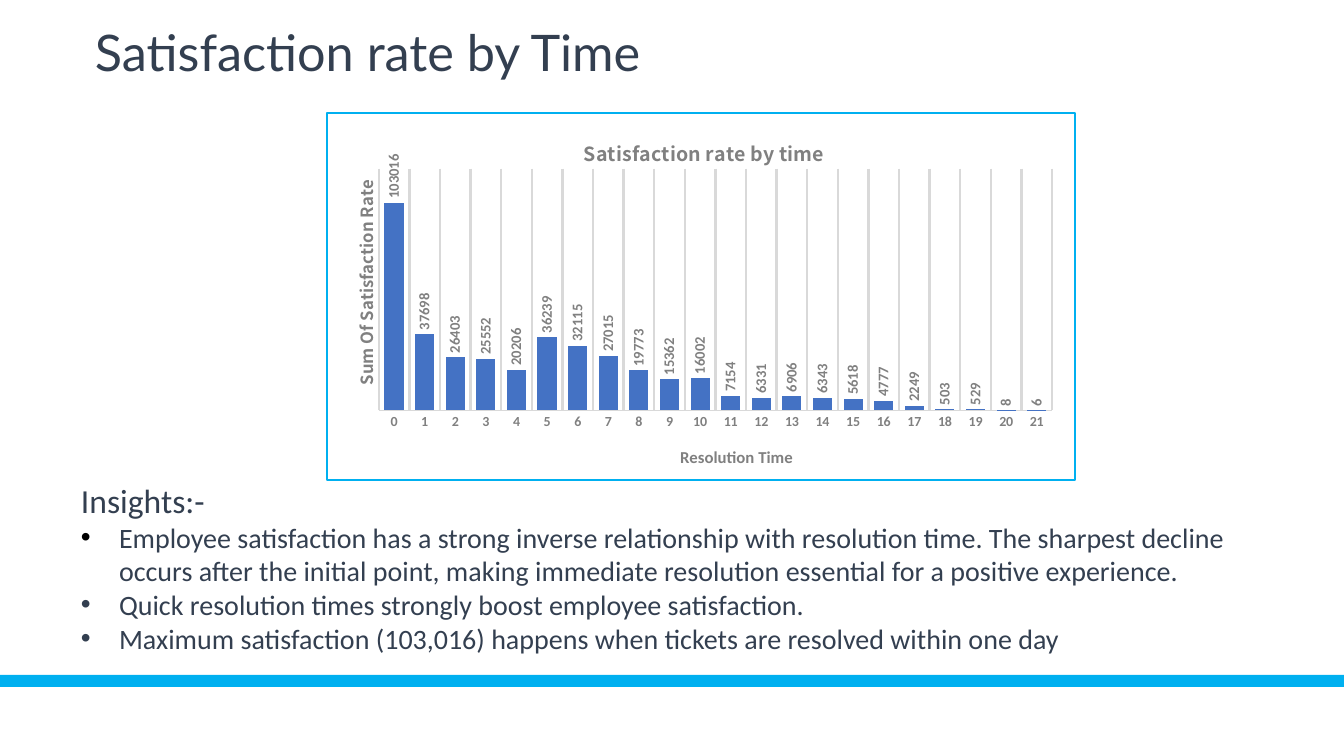
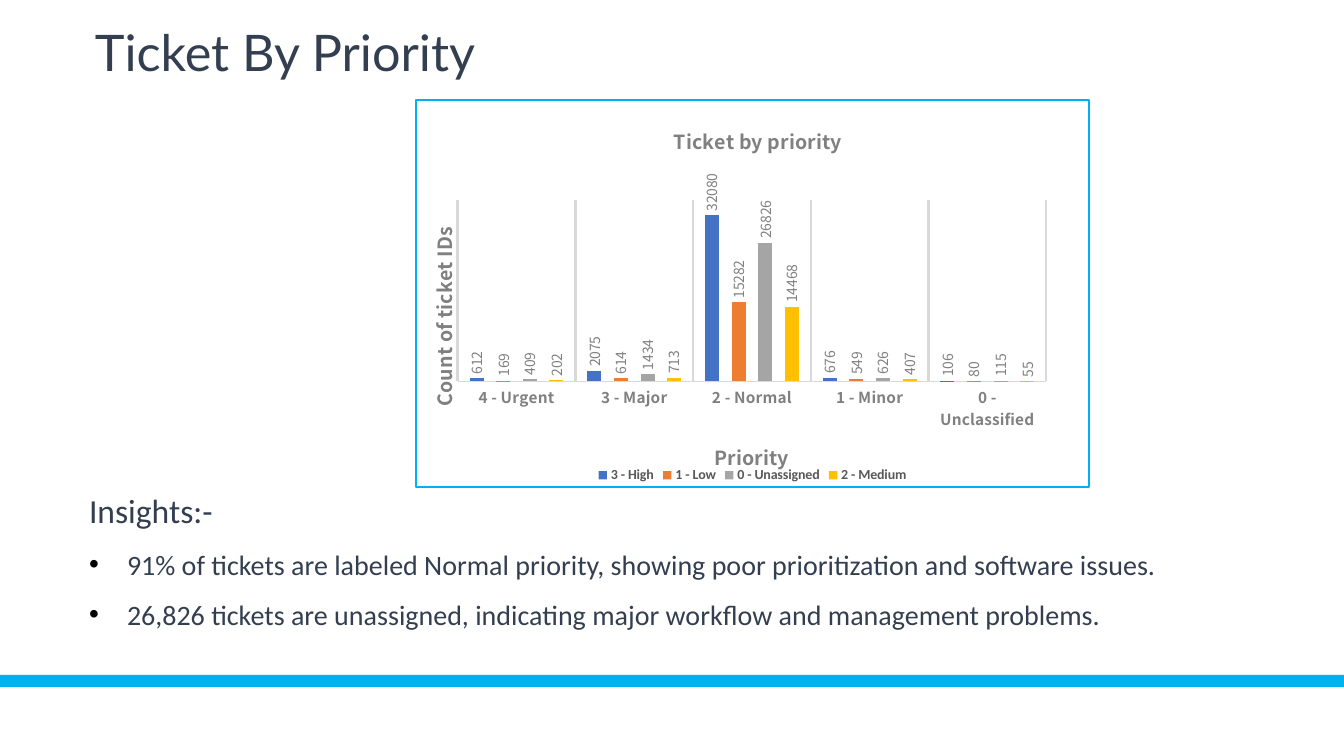
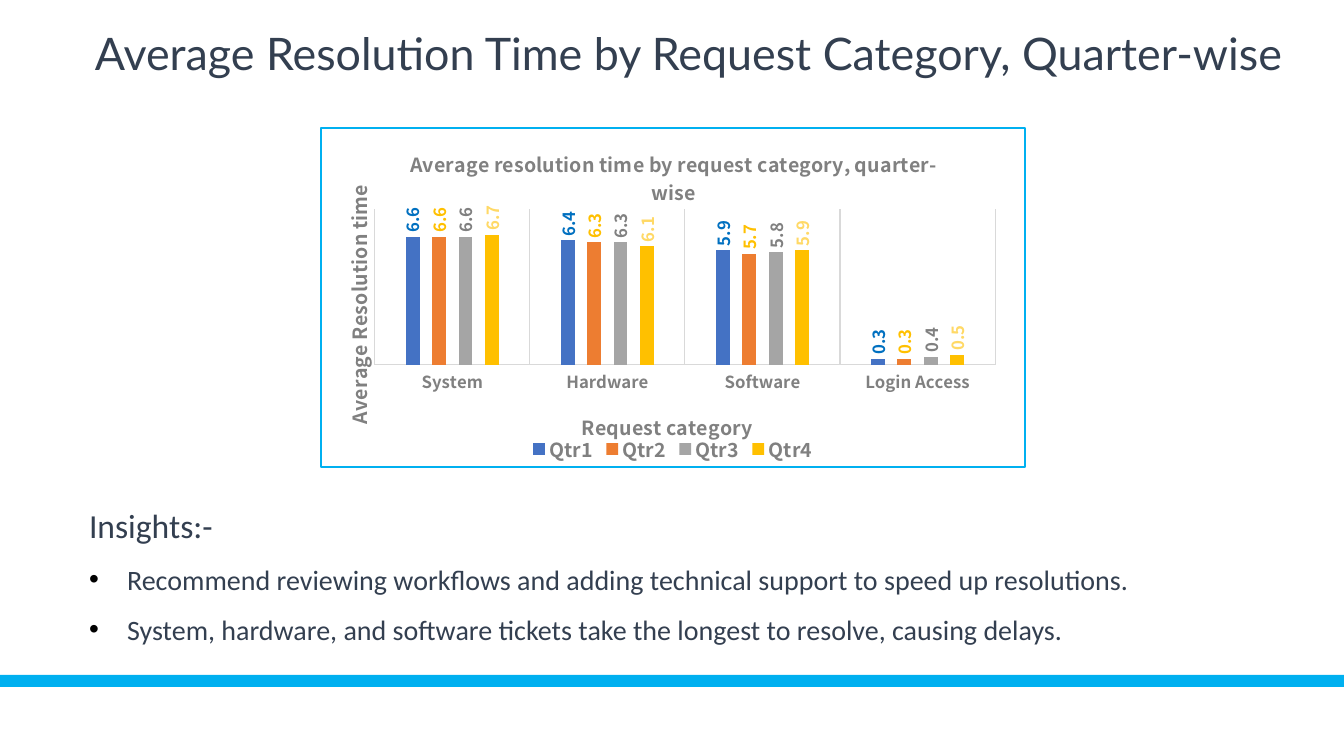
from lxml.etree import SubElement
from pptx import Presentation
from pptx.chart.data import CategoryChartData
from pptx.dml.color import RGBColor
from pptx.enum.chart import XL_CHART_TYPE, XL_LABEL_POSITION, XL_LEGEND_POSITION, XL_TICK_MARK
from pptx.enum.shapes import MSO_SHAPE
from pptx.enum.text import MSO_ANCHOR, MSO_AUTO_SIZE, PP_ALIGN
from pptx.oxml.ns import qn
from pptx.util import Pt

WIDE, HIGH = 1344, 756
INK, SKY, GREY, PALE, BLACK = "333F50", "00B0F0", "808080", "D9D9D9", "000000"
HUES = ["4472C4", "ED7D31", "A5A5A5", "FFC000"]
NOTO, SANS = "Noto Sans CJK SC", "Calibri"
BAND = (0, 675, WIDE, 12)
HEAD = "Insights:-"

SLIDES = [
    {
        "title": "Satisfaction rate by Time", "size": 36, "top": (88, 25, 629, 87),
        "body": (81, 480, 1160, 176), "lead": 1.0,
        "notes": [
            ("Employee satisfaction has a strong inverse relationship with resolution time. "
             "The sharpest decline occurs after the initial point, making immediate resolution "
             "essential for a positive experience.", BLACK),
            ("Quick resolution times strongly boost employee satisfaction.", INK),
            ("Maximum satisfaction (103,016) happens when tickets are resolved within one day", INK),
        ],
        "chart": {
            "box": (326, 112, 750, 369), "plot": (378, 168, 675, 243),
            "name": ("Satisfaction rate by time", 14, NOTO, (580, 132)),
            "across": ("Resolution Time", 12, SANS, (677, 444)),
            "up": ("Sum Of Satisfaction Rate", 12, NOTO, (348, 177)),
            "cats": [str(n) for n in range(22)],
            "rows": [("Series 1", [103016, 37698, 26403, 25552, 20206, 36239, 32115, 27015,
                                   19773, 15362, 16002, 7154, 6331, 6906, 6343, 5618, 4777,
                                   2249, 503, 529, 8, 6])],
            "max": 120000, "gap": 60, "grid": 1.75, "form": "0",
            "tick": (10, SANS), "label": (10.5, SANS, True), "tints": [GREY], "key": None,
        },
    },
    {
        "title": "Ticket By Priority", "size": 36, "top": (88, 25, 629, 87),
        "body": (89, 490, 1223, 176), "lead": 1.5,
        "notes": [
            ("91% of tickets are labeled Normal priority, showing poor prioritization "
             "and software issues.", BLACK),
            ("26,826 tickets are unassigned, indicating major workflow and management "
             "problems.", BLACK),
        ],
        "chart": {
            "box": (415, 99, 675, 389), "plot": (457, 200, 590, 182),
            "name": ("Ticket by priority", 14, NOTO, (670, 120)),
            "across": ("Priority", 14, NOTO, (711, 437)),
            "up": ("Count of ticket IDs", 14, NOTO, (423, 223)),
            "cats": ["4 - Urgent", "3 - Major", "2 - Normal", "1 - Minor", "0 - Unclassified"],
            "rows": [
                ("3 - High", [612, 2075, 32080, 676, 106]),
                ("1 - Low", [169, 614, 15282, 549, 80]),
                ("0 - Unassigned", [409, 1434, 26826, 626, 115]),
                ("2 - Medium", [202, 713, 14468, 407, 55]),
            ],
            "max": 35000, "gap": 170, "grid": 1.75, "form": "0",
            "tick": (11, NOTO), "label": (10, NOTO, False), "tints": [GREY] * 4,
            "key": (10, SANS, "595959"),
        },
    },
    {
        "title": "Average Resolution Time by Request Category, Quarter-wise",
        "size": 32, "top": (88, 29, 1230, 82),
        "body": (89, 505, 1211, 176), "lead": 1.5,
        "notes": [
            ("Recommend reviewing workflows and adding technical support to speed up "
             "resolutions.", BLACK),
            ("System, hardware, and software tickets take the longest to resolve, "
             "causing delays.", BLACK),
        ],
        "chart": {
            "box": (320, 127, 706, 341), "plot": (374, 209, 622, 156),
            "name": ("Average resolution time by request category, quarter-wise", 14, NOTO,
                     (406, 143)),
            "across": ("Request category", 14, NOTO, (578, 407)),
            "up": ("Average Resolution time", 14, NOTO, (338, 181)),
            "cats": ["System", "Hardware", "Software", "Login Access"],
            "rows": [
                ("Qtr1", [6.6, 6.4, 5.9, 0.3]),
                ("Qtr2", [6.6, 6.3, 5.7, 0.3]),
                ("Qtr3", [6.6, 6.3, 5.8, 0.4]),
                ("Qtr4", [6.7, 6.1, 5.9, 0.5]),
            ],
            "max": 8, "gap": 444, "grid": 0.75, "form": "0.0",
            "tick": (12, NOTO), "label": (12, NOTO, True),
            "tints": ["0070C0", "FFC000", GREY, "FFD966"], "key": (14, NOTO, GREY),
        },
    },
]


def px(n):
    return round(n * 914400 / 100.8)


def hue(code):
    return RGBColor.from_string(code)


def style(font, size, face, code, bold=False):
    font.size, font.name, font.bold = Pt(size), face, bold
    font.color.rgb = hue(code)


def move(shape, box):
    shape.left, shape.top, shape.width, shape.height = map(px, box)


def frame(shape, side, edge):
    text = shape.text_frame
    text.word_wrap, text.auto_size = True, MSO_AUTO_SIZE.NONE
    text.vertical_anchor = MSO_ANCHOR.TOP
    text.margin_left = text.margin_right = px(side)
    text.margin_top = text.margin_bottom = px(edge)
    return text


def head(slide, data):
    shape = slide.shapes.title
    move(shape, data["top"])
    text = frame(shape, 7, 3)
    text.text = data["title"]
    para = text.paragraphs[0]
    para.alignment, para.line_spacing = PP_ALIGN.LEFT, 0.9
    style(para.font, data["size"], "Lato", INK)


def bullet(para, code):
    props = para._p.get_or_add_pPr()
    dent = px(38) if code else 0
    props.set("marL", str(dent))
    props.set("indent", str(-dent))
    if not code:
        SubElement(props, qn("a:buNone"))
        return
    tone = SubElement(props, qn("a:buClr"))
    SubElement(tone, qn("a:srgbClr"), val=code)
    SubElement(props, qn("a:buFont"), typeface="Arial")
    SubElement(props, qn("a:buChar"), char="•")


def body(slide, data):
    shape = slide.placeholders[1]
    move(shape, data["body"])
    text = frame(shape, 0, 0)
    lines = [(HEAD, None)] + data["notes"]
    text.text = "\n".join(line for line, _ in lines)
    for para, (_, code) in zip(text.paragraphs, lines):
        para.space_before = Pt(0)
        para.line_spacing = data["lead"] if code else 1.0
        bullet(para, code)
        style(para.font, 20 if code else 24, SANS, INK)


def place(node, box, spot):
    for old in node.findall(qn("c:layout")):
        node.remove(old)
    lay = SubElement(node, qn("c:layout"))
    node.insert(1 if len(spot) == 2 else 0, lay)
    form = SubElement(lay, qn("c:manualLayout"))
    if len(spot) == 4:
        SubElement(form, qn("c:layoutTarget"), val="inner")
    for mode in ("xMode", "yMode"):
        SubElement(form, qn("c:" + mode), val="edge")
    x, y, *size = spot
    parts = [(x - box[0]) / box[2], (y - box[1]) / box[3]]
    parts += [n / full for n, full in zip(size, box[2:])]
    for key, part in zip("xywh", parts):
        SubElement(form, qn("c:" + key), val=f"{part:.4f}")


def turn(node):
    props = node.find(".//" + qn("a:bodyPr"))
    props.set("rot", "-5400000")
    props.set("vert", "horz")


def label(title, data, box):
    words, size, face, spot = data
    text = title.text_frame
    text.text = words
    style(text.paragraphs[0].font, size, face, GREY, True)
    place(title._element, box, spot)


def edge(chart):
    node = chart._chartSpace.find(qn("c:chart"))
    props = SubElement(chart._chartSpace, qn("c:spPr"))
    node.addnext(props)
    SubElement(props, qn("a:noFill"))
    line = SubElement(props, qn("a:ln"), w=str(Pt(1.25)))
    fill = SubElement(line, qn("a:solidFill"))
    SubElement(fill, qn("a:srgbClr"), val=SKY)


def graph(slide, data):
    box = data["box"]
    feed = CategoryChartData(number_format=data["form"])
    feed.categories = data["cats"]
    for name, vals in data["rows"]:
        feed.add_series(name, vals)
    chart = slide.shapes.add_chart(
        XL_CHART_TYPE.COLUMN_CLUSTERED, *map(px, box), feed).chart
    style(chart.font, 10, SANS, BLACK)
    edge(chart)
    chart.has_title = True
    label(chart.chart_title, data["name"], box)

    base, rise = chart.category_axis, chart.value_axis
    label(base.axis_title, data["across"], box)
    label(rise.axis_title, data["up"], box)
    turn(rise.axis_title._element)
    style(base.tick_labels.font, *data["tick"], GREY, True)
    base.major_tick_mark = XL_TICK_MARK.NONE
    base.has_major_gridlines = True
    for line, width in ((base.format.line, 0.75),
                        (base.major_gridlines.format.line, data["grid"])):
        line.color.rgb, line.width = hue(PALE), Pt(width)
    rise.has_major_gridlines = False
    rise.minimum_scale, rise.maximum_scale = 0, data["max"]
    rise.visible = False

    plot = chart.plots[0]
    plot.vary_by_categories = False
    plot.gap_width, plot.overlap = data["gap"], -90
    size, face, bold = data["label"]
    for row, code, tint in zip(plot.series, HUES, data["tints"]):
        row.format.fill.solid()
        row.format.fill.fore_color.rgb = hue(code)
        tags = row.data_labels
        tags.show_value, tags.position = True, XL_LABEL_POSITION.OUTSIDE_END
        tags.number_format, tags.number_format_is_linked = data["form"], False
        style(tags.font, size, face, tint, bold)
        turn(tags._element)
    place(chart._chartSpace.find(".//" + qn("c:plotArea")), box, data["plot"])

    chart.has_legend = bool(data["key"])
    if data["key"]:
        chart.legend.position = XL_LEGEND_POSITION.BOTTOM
        chart.legend.include_in_layout = False
        style(chart.legend.font, *data["key"], True)


def band(slide):
    bar = slide.shapes.add_shape(MSO_SHAPE.RECTANGLE, *map(px, BAND))
    bar.shadow.inherit = False
    bar.fill.solid()
    bar.fill.fore_color.rgb = hue(SKY)
    bar.line.fill.background()


def main():
    deck = Presentation()
    deck.slide_width, deck.slide_height = px(WIDE), px(HIGH)
    for data in SLIDES:
        slide = deck.slides.add_slide(deck.slide_layouts[1])
        band(slide)
        head(slide, data)
        graph(slide, data["chart"])
        body(slide, data)
    deck.save("out.pptx")


if __name__ == "__main__":
    main()
